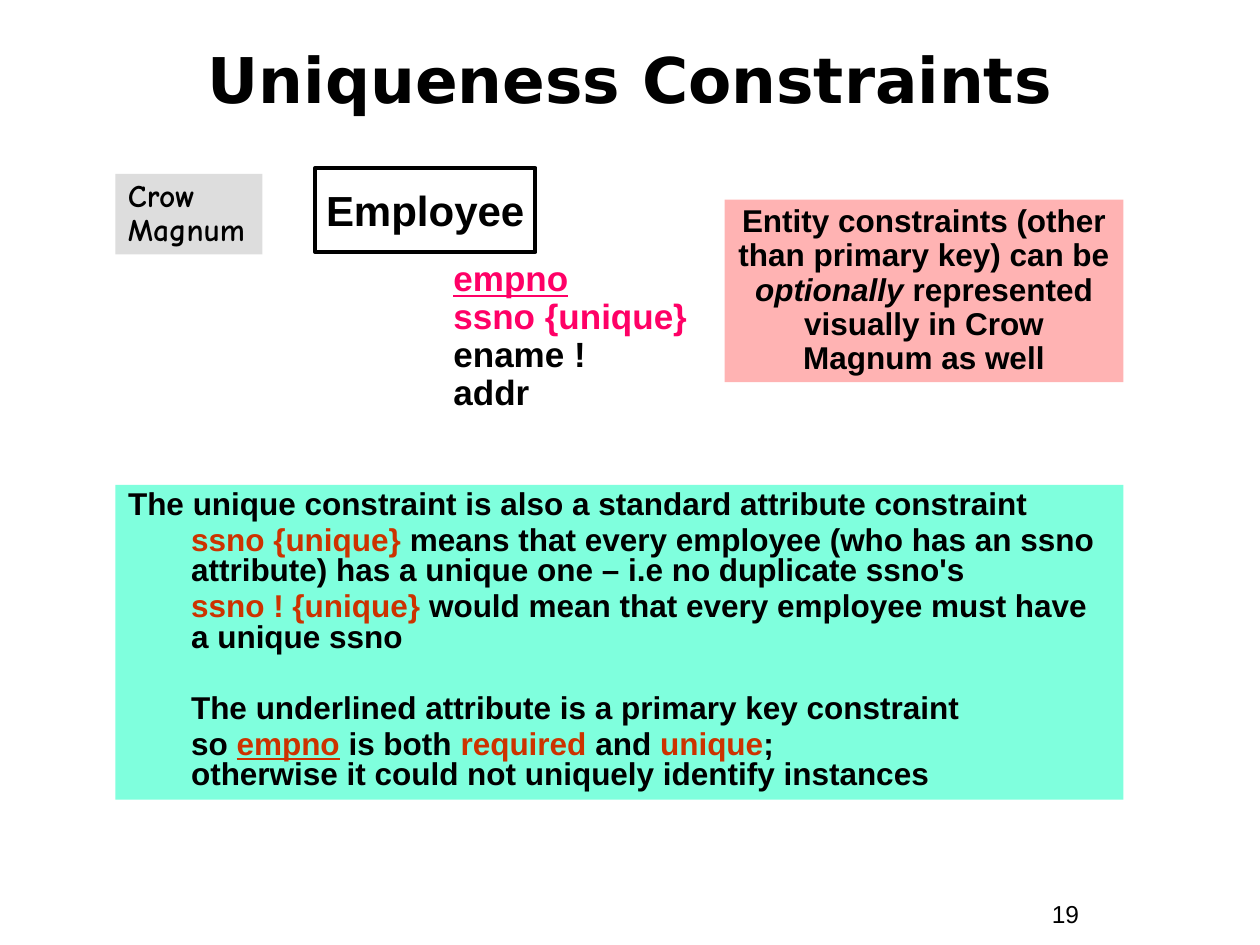
from pptx import Presentation
from pptx.dml.color import RGBColor
from pptx.enum import shapes, text
from pptx.oxml.ns import qn
from pptx.util import Pt

BLACK, PINK, RUST = "000000", "FF0066", "CC3300"
MINT, ROSE, GREY = "7FFFDD", "FFB3B3", "DDDDDD"
CENTER = text.PP_ALIGN.CENTER


def color(hex_value):
    return RGBColor.from_string(hex_value)


def place(shape, left, top, width, height):
    shape.left, shape.top = Pt(left), Pt(top)
    shape.width, shape.height = Pt(width), Pt(height)


def prepare_frame(shape, anchor=text.MSO_ANCHOR.TOP, wrap=True):
    frame = shape.text_frame
    frame.auto_size = text.MSO_AUTO_SIZE.NONE
    frame.word_wrap = wrap
    frame.vertical_anchor = anchor
    frame.margin_left = frame.margin_right = Pt(7.2)
    frame.margin_top = frame.margin_bottom = Pt(3.6)
    return frame


def add_run(paragraph, content, size, font="Arial", fill=BLACK, bold=True,
            italic=False, underline=False):
    run = paragraph.add_run()
    run.text = content
    run.font.name, run.font.size = font, Pt(size)
    run.font.bold, run.font.italic, run.font.underline = bold, italic, underline
    run.font.color.rgb = color(fill)


def add_paragraph(frame, first, align=text.PP_ALIGN.LEFT, spacing=1.0, before=0):
    paragraph = frame.paragraphs[0] if first else frame.add_paragraph()
    paragraph.alignment = align
    paragraph.line_spacing = spacing
    paragraph.space_before = Pt(before)
    paragraph.space_after = Pt(0)
    return paragraph


def remove_bullet(paragraph, indent):
    properties = paragraph._p.get_or_add_pPr()
    properties.set("marL", str(Pt(indent)))
    properties.set("indent", "0")
    properties.append(properties.makeelement(qn("a:buNone"), {}))


def add_box(slide, bounds, fill=None, line=None):
    box = slide.shapes.add_shape(shapes.MSO_SHAPE.RECTANGLE, *map(Pt, bounds))
    box.shadow.inherit = False
    if fill:
        box.fill.solid()
        box.fill.fore_color.rgb = color(fill)
    else:
        box.fill.background()
    if line:
        box.line.color.rgb = color(line)
        box.line.width = Pt(2.25)
    else:
        box.line.fill.background()
    return box


def add_text_box(slide, bounds):
    return prepare_frame(slide.shapes.add_textbox(*map(Pt, bounds)))


def fill_title(slide):
    title = slide.shapes.title
    place(title, 24, 12, 672, 66)
    frame = prepare_frame(title, text.MSO_ANCHOR.MIDDLE)
    add_run(add_paragraph(frame, True, CENTER), "Uniqueness Constraints", 36, "DejaVu Sans")


def fill_rules(slide):
    body = slide.placeholders[1]
    place(body, 66, 277, 576, 180)
    body.fill.solid()
    body.fill.fore_color.rgb = color(MINT)
    frame = prepare_frame(body)
    rules = [  # level, space before, runs of (text, options)
        (0, 0, [("The unique constraint is also a standard attribute constraint", {})]),
        (1, 3.4, [("ssno {unique}", {"fill": RUST}),
                  (" means that every employee (who has an ssno attribute)"
                   " has a unique one – i.e no duplicate ssno's", {})]),
        (1, 3.4, [("ssno ! {unique}", {"fill": RUST}),
                  (" would mean that every employee must have a unique ssno", {})]),
        (1, 23.4, [("The underlined attribute is a primary key constraint", {})]),
        (1, 3.4, [("so ", {}), ("empno", {"fill": RUST, "underline": True}),
                  (" is both ", {}), ("required", {"fill": RUST}), (" and ", {}),
                  ("unique", {"fill": RUST}), (";", {}), None,
                  ("otherwise it could not uniquely identify instances", {})]),
    ]
    for index, (level, before, runs) in enumerate(rules):
        paragraph = add_paragraph(frame, index == 0, spacing=0.8, before=before)
        paragraph.level = level
        remove_bullet(paragraph, 36 * level)
        for run in runs:
            if run is None:
                paragraph.add_line_break()
            else:
                add_run(paragraph, run[0], 18, **run[1])


def add_entity(slide):
    entity = add_box(slide, (180, 96, 126, 48), line=BLACK)
    frame = prepare_frame(entity, text.MSO_ANCHOR.MIDDLE, wrap=False)
    add_run(add_paragraph(frame, True, CENTER), "Employee", 24)

    frame = add_text_box(slide, (252, 146, 162, 93.6))
    attributes = [("empno", PINK), ("ssno {unique}", PINK), ("ename !", BLACK), ("addr", BLACK)]
    for index, (name, fill) in enumerate(attributes):
        paragraph = add_paragraph(frame, index == 0, spacing=0.9)
        add_run(paragraph, name, 20, fill=fill, underline=index == 0)


def add_remark(slide):
    frame = prepare_frame(add_box(slide, (414, 114, 228, 104.4), ROSE))
    paragraph = add_paragraph(frame, True, CENTER, 0.9)
    add_run(paragraph, "Entity constraints (other than primary key) can be ", 18)
    add_run(paragraph, "optionally", 18, italic=True)
    add_run(paragraph, " represented visually in Crow Magnum as well", 18)


def add_notation_label(slide):
    frame = prepare_frame(add_box(slide, (66, 99.4, 84, 46), GREY))
    paragraph = add_paragraph(frame, True, spacing=0.9)
    add_run(paragraph, "Crow", 18, "Comic Neue")
    paragraph.add_line_break()
    add_run(paragraph, "Magnum", 18, "Comic Neue")


def add_page_number(slide):
    frame = add_text_box(slide, (594, 510, 66, 24.5))
    add_run(add_paragraph(frame, True), "19", 14, bold=False)


def main():
    presentation = Presentation()
    presentation.slide_width, presentation.slide_height = Pt(720), Pt(540)
    slide = presentation.slides.add_slide(presentation.slide_layouts[1])
    fill_title(slide)
    fill_rules(slide)
    add_entity(slide)
    add_remark(slide)
    add_notation_label(slide)
    add_page_number(slide)
    presentation.save("out.pptx")


if __name__ == "__main__":
    main()
